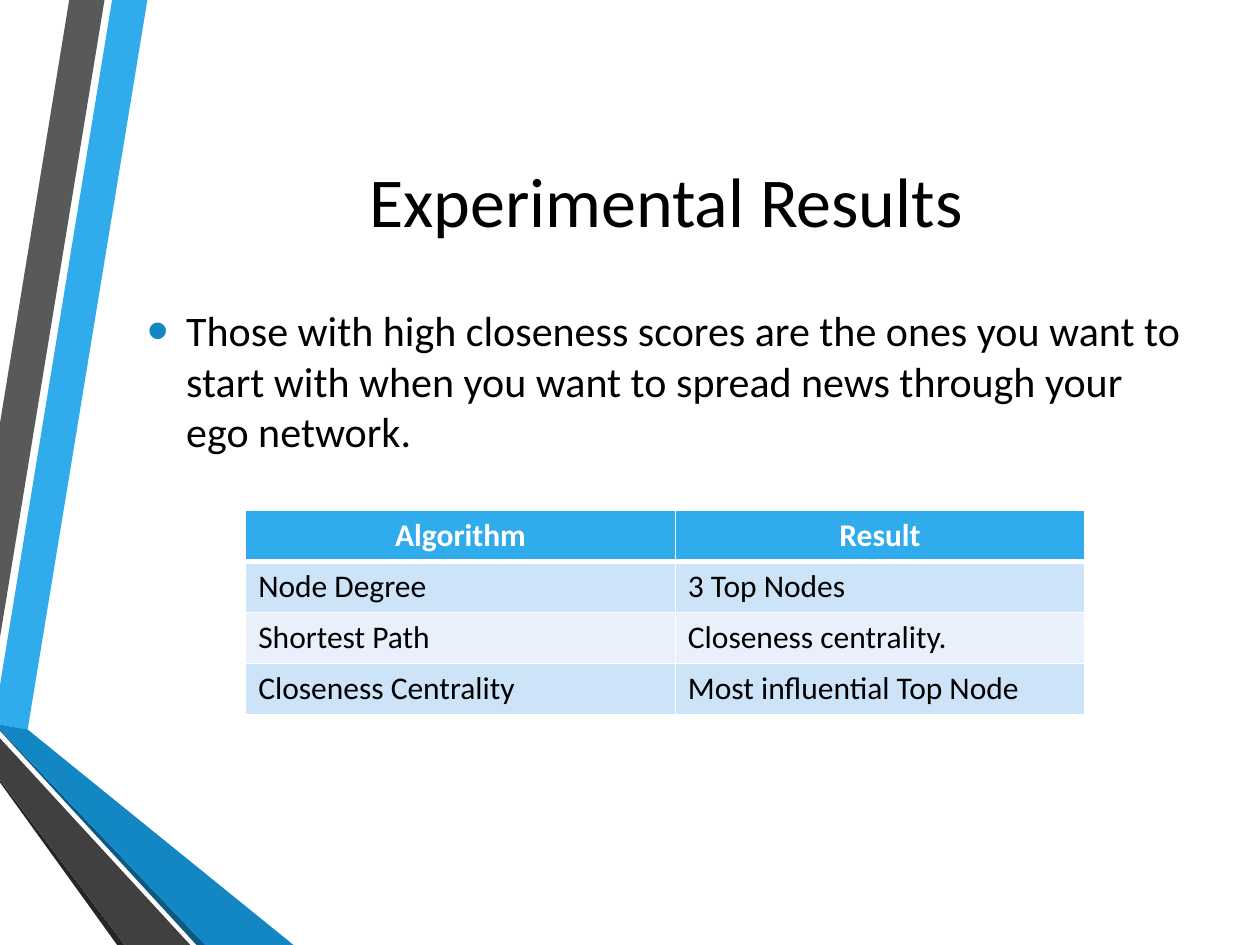
from dataclasses import dataclass

import lxml.etree
import pptx
import pptx.dml.color
import pptx.enum.text
import pptx.oxml.ns
import pptx.util

ALIGN = pptx.enum.text.PP_ALIGN
ANCHOR = pptx.enum.text.MSO_ANCHOR
qn = pptx.oxml.ns.qn

GRID_COLS, GRID_ROWS = 100, 75


@dataclass(frozen=True)
class Theme:
    font: str = "Calibri"
    black: str = "000000"
    white: str = "FFFFFF"
    sky: str = "30ACEC"
    blue: str = "1287C3"
    navy: str = "0C5A82"
    gray: str = "595959"
    charcoal: str = "404040"
    soot: str = "262626"
    bands: tuple[str, str] = ("CDE3F8", "E8F1FB")
    title: int = 40
    body: int = 24
    cell: int = 18
    rule: int = 1
    header_rule: int = 3


@dataclass(frozen=True)
class Ribbon:
    color: str
    points: tuple[tuple[float, float], ...]


@dataclass(frozen=True)
class Box:
    col: float
    row: float
    cols: float
    rows: float


THEME = Theme()
RIBBONS = (
    Ribbon(THEME.sky, ((0, 54.4), (0, 57.5), (2.2, 57.9), (11.7, 0), (8.9, 0))),
    Ribbon(THEME.gray, ((8.3, 0), (5.5, 0), (0, 33.6), (0, 50.6))),
    Ribbon(THEME.soot, ((0, 61.9), (0, 62.1), (9.3, 75), (9.9, 75))),
    Ribbon(THEME.navy, ((0, 57.9), (0, 58), (15.6, 75), (16.3, 75))),
    Ribbon(THEME.blue, ((0, 57.9), (16.3, 75), (23.3, 75), (2.2, 57.9), (0, 57.5))),
    Ribbon(THEME.charcoal, ((0, 61.9), (9.9, 75), (15.1, 75), (0, 58.6))),
)
TITLE_BOX = Box(10.7, 5, 84.3, 21.7)
BODY_BOX = Box(10.7, 22.2, 84.3, 20.3)
TABLE_BOX = Box(19.5, 40.5, 66.6, 16.2)
COLUMN_WIDTHS = (34.1, 32.5)
RESULTS = (
    ("Algorithm", "Result"),
    ("Node Degree", "3 Top Nodes"),
    ("Shortest Path", "Closeness centrality."),
    ("Closeness Centrality", "Most influential Top Node"),
)

prs = pptx.Presentation()
prs.slide_width = pptx.util.Inches(10)
prs.slide_height = pptx.util.Inches(7.5)


def x(cols: float) -> int:
    return round(prs.slide_width * cols / GRID_COLS)


def y(rows: float) -> int:
    return round(prs.slide_height * rows / GRID_ROWS)


def place(box: Box) -> tuple[int, int, int, int]:
    return x(box.col), y(box.row), x(box.cols), y(box.rows)


def rgb(color: str) -> pptx.dml.color.RGBColor:
    return pptx.dml.color.RGBColor.from_string(color)


def write(tf, text: str, *, size: int, color: str = THEME.black,
          bold: bool = False, align=ALIGN.LEFT):
    tf.word_wrap = True
    p = tf.paragraphs[0]
    p.alignment = align
    r = p.add_run()
    r.text = text
    r.font.name = THEME.font
    r.font.size = pptx.util.Pt(size)
    r.font.bold = bold
    r.font.color.rgb = rgb(color)
    return p


def add_bullet(p, color: str, percent: int, indent: int) -> None:
    pPr = p._p.get_or_add_pPr()
    pPr.set("marL", str(indent))
    pPr.set("indent", str(-indent))
    buClr = lxml.etree.SubElement(pPr, qn("a:buClr"))
    lxml.etree.SubElement(buClr, qn("a:srgbClr"), val=color)
    lxml.etree.SubElement(pPr, qn("a:buSzPct"), val=str(percent * 1000))
    lxml.etree.SubElement(pPr, qn("a:buFont"), typeface="Arial")
    lxml.etree.SubElement(pPr, qn("a:buChar"), char="•")


def draw_ribbon(slide, ribbon: Ribbon) -> None:
    start, *rest = [(x(col), y(row)) for col, row in ribbon.points]
    builder = slide.shapes.build_freeform(*start)
    builder.add_line_segments(rest, close=True)
    sp = builder.convert_to_shape()
    sp.shadow.inherit = False
    sp.fill.solid()
    sp.fill.fore_color.rgb = rgb(ribbon.color)
    sp.line.fill.background()


def add_text_box(slide, box: Box, anchor):
    tf = slide.shapes.add_textbox(*place(box)).text_frame
    tf.vertical_anchor = anchor
    return tf


def set_borders(cell, top: int, bottom: int) -> None:
    tcPr = cell._tc.get_or_add_tcPr()
    widths = {"lnL": THEME.rule, "lnR": THEME.rule, "lnT": top, "lnB": bottom}
    for i, (side, width) in enumerate(widths.items()):
        ln = lxml.etree.Element(qn(f"a:{side}"), w=str(pptx.util.Pt(width)))
        fill = lxml.etree.SubElement(ln, qn("a:solidFill"))
        lxml.etree.SubElement(fill, qn("a:srgbClr"), val=THEME.white)
        tcPr.insert(i, ln)


def draw_table(slide, rows: tuple[tuple[str, str], ...]) -> None:
    table = slide.shapes.add_table(len(rows), len(COLUMN_WIDTHS), *place(TABLE_BOX)).table
    for column, width in zip(table.columns, COLUMN_WIDTHS):
        column.width = x(width)
    for i, texts in enumerate(rows):
        header = i == 0
        for j, text in enumerate(texts):
            cell = table.cell(i, j)
            cell.fill.solid()
            cell.fill.fore_color.rgb = rgb(THEME.sky if header else THEME.bands[(i - 1) % 2])
            write(cell.text_frame, text, size=THEME.cell, bold=header,
                  color=THEME.white if header else THEME.black,
                  align=ALIGN.CENTER if header else ALIGN.LEFT)
            set_borders(cell, top=THEME.header_rule if i == 1 else THEME.rule,
                        bottom=THEME.header_rule if header else THEME.rule)


def main() -> None:
    slide = prs.slides.add_slide(prs.slide_layouts[6])
    for ribbon in RIBBONS:
        draw_ribbon(slide, ribbon)

    write(add_text_box(slide, TITLE_BOX, ANCHOR.MIDDLE), "Experimental Results",
          size=THEME.title, align=ALIGN.CENTER)

    tf = add_text_box(slide, BODY_BOX, ANCHOR.TOP)
    tf.margin_top = y(2)
    p = write(tf, "Those with high closeness scores are the ones you want to start with "
              "when you want to spread news through your ego network.", size=THEME.body)
    add_bullet(p, THEME.blue, 145, x(3.1))

    draw_table(slide, RESULTS)
    prs.save("out.pptx")


if __name__ == "__main__":
    main()
